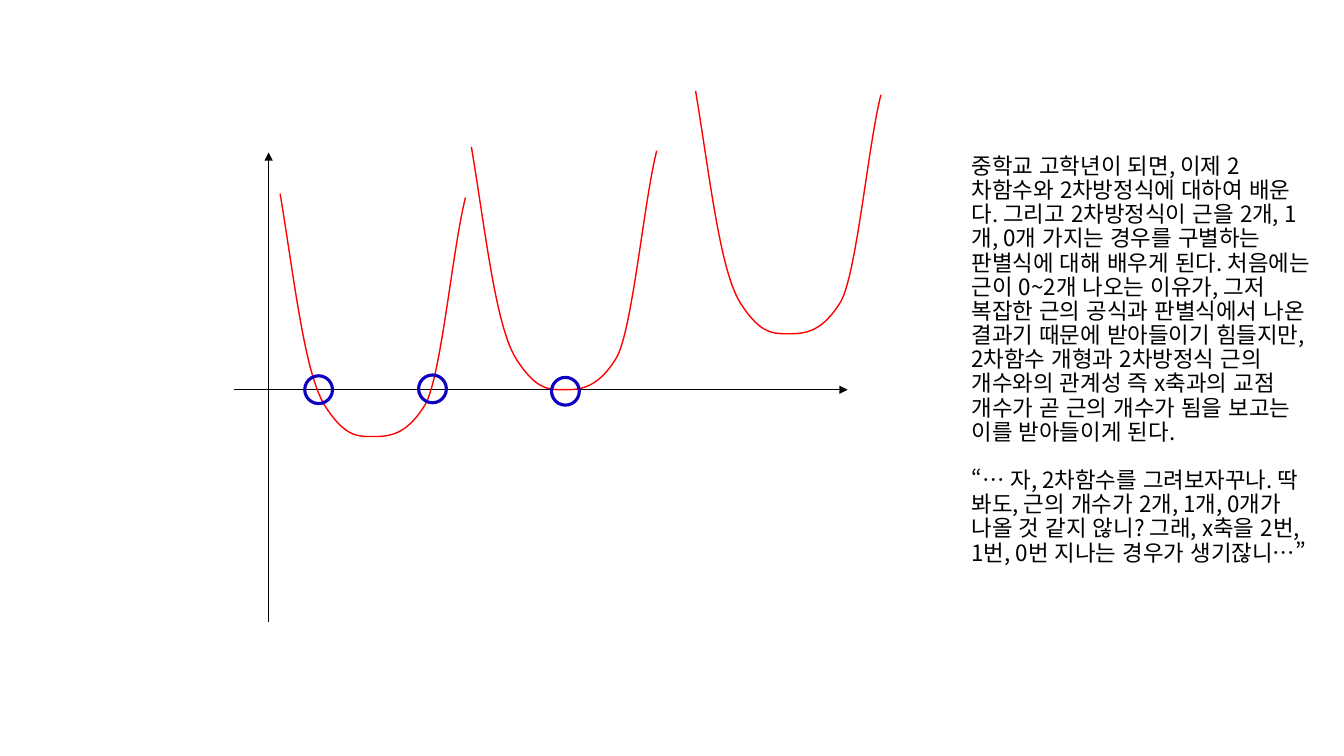
from dataclasses import dataclass

import lxml.etree
import pptx
import pptx.dml.color
import pptx.enum.lang
import pptx.enum.shapes
import pptx.enum.text
import pptx.oxml
import pptx.oxml.ns
import pptx.util

Cm = pptx.util.Cm
Pt = pptx.util.Pt
qn = pptx.oxml.ns.qn


@dataclass(frozen=True)
class Theme:
    font: str = "Noto Sans CJK KR"
    text_size: float = 16
    paragraph_gap: float = 17.3
    line_spacing: float = 0.9
    ink: str = "000000"
    curve: str = "FF0000"
    root: str = "0E00C0"
    axis_width: float = 0.5
    curve_width: float = 1
    root_width: float = 2.25


THEME = Theme()

# Each paragraph is a list of runs: text and letter spacing in points
PARAGRAPHS = [
    [("중학교 고학년이 되면, 이제 2차함수와 2차방정식에 대하여 배운다. "
      "그리고 2차방정식이 근을 2개, 1개, 0개 가지는 경우를 구별하는 판별식에 대해 배우게 된다. "
      "처음에는 근이 0~2개 나오는 이유가, 그저 복잡한 근의 공식과 판별식에서 나온 결과기 때문에 "
      "받아들이기 힘들지만, 2차함수 개형과 2차방정식 근의 개수와의 관계성 즉 x축과의 교점 개수가 "
      "곧 근의 개수가 됨을 보고는 이를 받아들이게 된다.", 0)],
    [("“", 0),
     ("…", 4.3),
     ("자, 2차함수를 그려보자꾸나. 딱 봐도, 근의 개수가 2개, 1개, 0개가 나올 것 같지 않니? "
      "그래, x축을 2번, 1번, 0번 지나는 경우가 생기잖니…”", 0)],
]

# All positions are in centimetres
AXES = [((6.77, 15.67), (6.77, 3.84)), ((5.89, 9.82), (21.36, 9.82))]
PARABOLA_STARTS = [(7.06, 4.88), (11.88, 3.7), (17.53, 2.29)]
ROOT_CENTRES = [(8.03, 9.82), (10.9, 9.8), (14.25, 9.86)]
ROOT_DIAMETER = 0.7

# Cubic pieces of one parabola, measured from its upper left end
PARABOLA = [
    ((0.36, 2.16), (0.61, 4.5), (1.12, 5.33)),
    ((1.65, 6.17), (1.98, 6.12), (2.41, 6.12)),
    ((2.82, 6.12), (3.23, 6.02), (3.66, 5.31)),
    ((4.06, 4.6), (4.34, 1.42), (4.67, 0.1)),
]


def colour(value):
    return pptx.dml.color.RGBColor.from_string(value)


def style_line(line, value, width):
    line.color.rgb = colour(value)
    line.width = Pt(width)


def add_span(para, text, spacing):
    span = para.add_run()
    span.text = text
    span.font.size = Pt(THEME.text_size)
    span.font.color.rgb = colour(THEME.ink)
    span.font.name = THEME.font
    span.font.language_id = pptx.enum.lang.MSO_LANGUAGE_ID.KOREAN
    # Hangul takes the East Asian typeface
    properties = span._r.get_or_add_rPr()
    properties.append(pptx.oxml.parse_xml(
        f'<a:ea {pptx.oxml.ns.nsdecls("a")} typeface="{THEME.font}"/>'))
    if spacing:
        properties.set("spc", str(round(spacing * 100)))


def add_explanation(page):
    box = page.shapes.title
    box.left, box.top, box.width, box.height = Cm(24.23), Cm(1.01), Cm(9.12), Cm(16.15)
    frame = box.text_frame
    frame.word_wrap = True
    frame.auto_size = pptx.enum.text.MSO_AUTO_SIZE.NONE
    frame.vertical_anchor = pptx.enum.text.MSO_ANCHOR.MIDDLE
    for index, spans in enumerate(PARAGRAPHS):
        para = frame.add_paragraph() if index else frame.paragraphs[0]
        para.alignment = pptx.enum.text.PP_ALIGN.LEFT
        para.line_spacing = THEME.line_spacing
        para.space_before = Pt(THEME.paragraph_gap if index else 0)
        for text, spacing in spans:
            add_span(para, text, spacing)


def add_axis(group, start, end):
    axis = group.shapes.add_connector(
        pptx.enum.shapes.MSO_CONNECTOR.STRAIGHT, *map(Cm, start + end))
    style_line(axis.line, THEME.ink, THEME.axis_width)
    namespace = pptx.oxml.ns.nsdecls("a")
    axis.line._get_or_add_ln().append(
        pptx.oxml.parse_xml(f'<a:tailEnd {namespace} type="triangle"/>'))
    axis._element.spPr.append(pptx.oxml.parse_xml(f"<a:effectLst {namespace}/>"))


def add_parabola(page, left, top):
    builder = page.shapes.build_freeform(Cm(left), Cm(top))
    ends = [(Cm(left + piece[-1][0]), Cm(top + piece[-1][1])) for piece in PARABOLA]
    builder.add_line_segments(ends, close=False)
    parabola = builder.convert_to_shape()
    # Turn each straight segment into a cubic curve
    segments = list(parabola._element.iter(qn("a:lnTo")))
    for segment, piece in zip(segments, PARABOLA):
        cubic = lxml.etree.Element(qn("a:cubicBezTo"))
        for x, y in piece:
            lxml.etree.SubElement(cubic, qn("a:pt"), x=str(Cm(x)), y=str(Cm(y)))
        segment.getparent().replace(segment, cubic)
    parabola.shadow.inherit = False
    parabola.fill.background()
    style_line(parabola.line, THEME.curve, THEME.curve_width)


def add_root(page, x, y):
    radius = ROOT_DIAMETER / 2
    ring = page.shapes.add_shape(
        pptx.enum.shapes.MSO_SHAPE.OVAL, Cm(x - radius), Cm(y - radius),
        Cm(ROOT_DIAMETER), Cm(ROOT_DIAMETER))
    ring.shadow.inherit = False
    ring.fill.background()
    style_line(ring.line, THEME.root, THEME.root_width)


def main():
    deck = pptx.Presentation()
    deck.slide_width, deck.slide_height = Cm(33.87), Cm(19.05)
    page = deck.slides.add_slide(deck.slide_layouts.get_by_name("Title Only"))

    # Explanation at the right
    add_explanation(page)

    # Coordinate axes
    axes = page.shapes.add_group_shape()
    for start, end in AXES:
        add_axis(axes, start, end)

    # Parabolas with two, one and no roots
    for left, top in PARABOLA_STARTS:
        add_parabola(page, left, top)

    # Rings around the roots
    for x, y in ROOT_CENTRES:
        add_root(page, x, y)

    deck.save("out.pptx")


if __name__ == "__main__":
    main()
